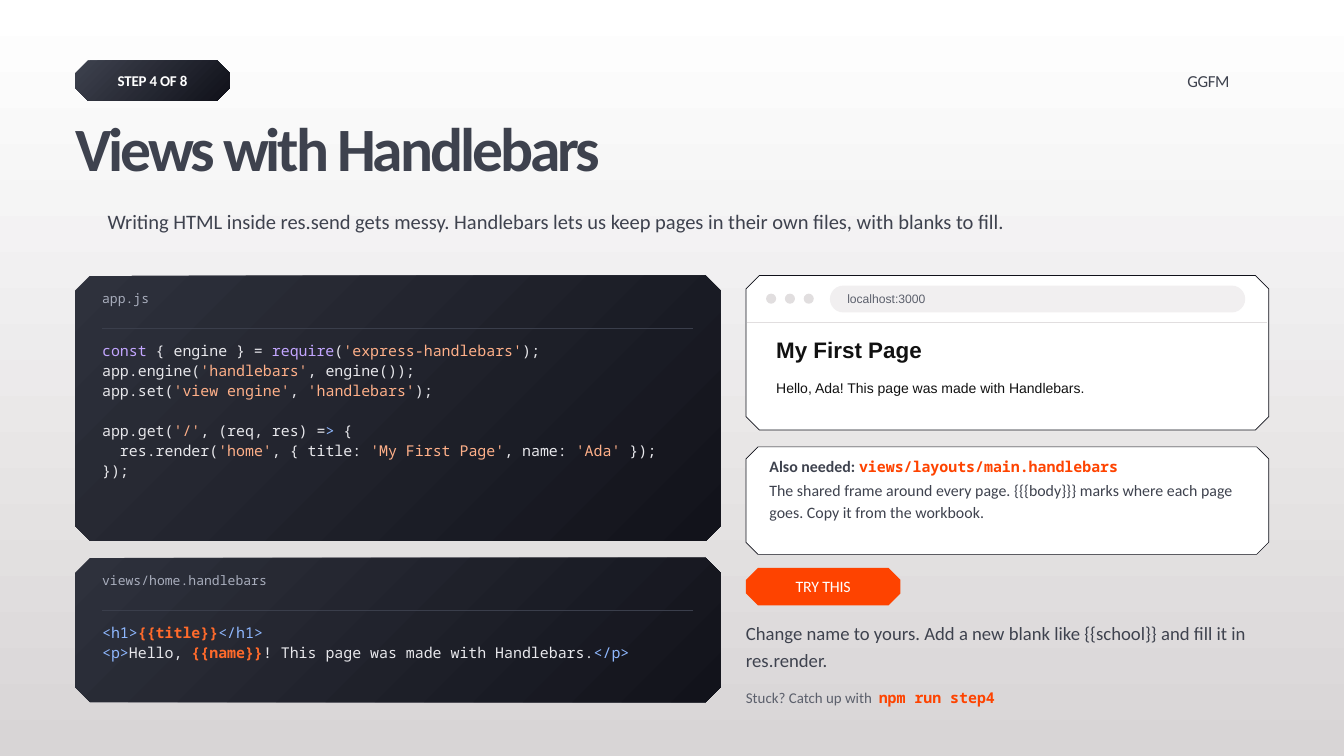
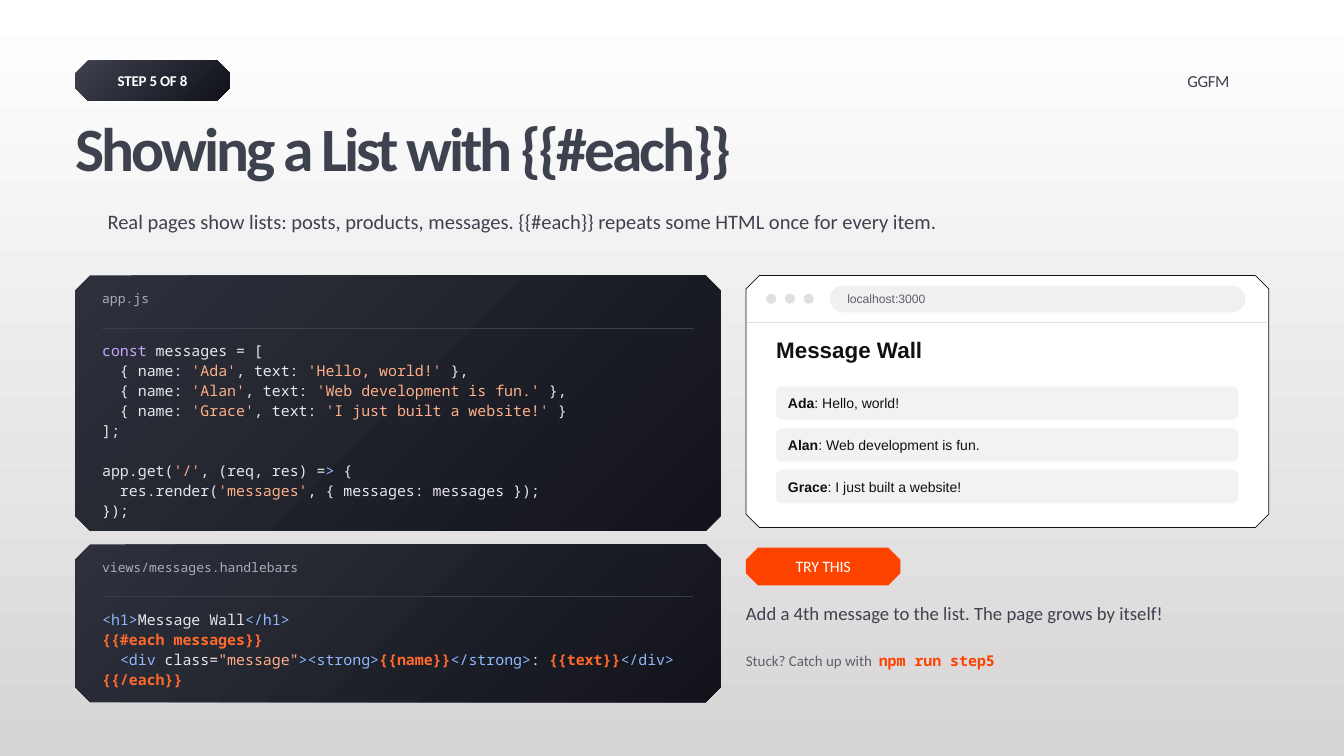
from functools import partial

from lxml.etree import SubElement
from pptx import Presentation
from pptx.dml.color import RGBColor
from pptx.enum.shapes import MSO_CONNECTOR as Link, MSO_SHAPE as Preset
from pptx.enum.text import MSO_ANCHOR as Anchor, MSO_AUTO_SIZE as AutoSize, PP_ALIGN as Align
from pptx.oxml.ns import qn
from pptx.util import Inches, Pt

COLORS = {
    "ink": ("3E424E", "10111A"), "panel": ("2E313C", "12131B"), "page": ("FFFFFF", "D8D5D6"),
    "white": "FFFFFF", "outline": "10111A", "accent": "FE4300", "muted": "5C606C",
    "file": "A9AEBD", "panel_rule": "3A3E4B", "chrome": "E1DEDF", "address": "F1EFF0",
    "web": "111111", "item": "F2F2F2",
    "plain": "E8E8EC", "keyword": "C3A6FF", "string": "FFB089", "tag": "8FB8FF", "blank": "FF6A2B",
}
SANS, MONO, WEB = "Calibri", "Noto Sans Mono", "Arial"
LEFT, LEFT_WIDTH = 1.12, 9.6
RIGHT, RIGHT_WIDTH = 11.1, 7.78
CONTENT_TOP = 4.1
CODE_SIZE, CODE_LEADING, CODE_LINE = 16, 1.12, 21.4


def run(text, size=16, font=SANS, color="ink", bold=False, spacing=0):
    """Describe a stretch of text and its format."""
    return dict(text=text, size=size, font=font, color=color, bold=bold, spacing=spacing)


def para(*runs, leading=None, before=0, align=Align.LEFT):
    """Describe a paragraph made of runs."""
    return dict(runs=runs, leading=leading, before=before, align=align)


code = partial(run, size=CODE_SIZE, font=MONO)
plain = partial(code, color="plain")
keyword = partial(code, color="keyword")
string = partial(code, color="string")
tag = partial(code, color="tag")
blank = partial(code, color="blank", bold=True)
web = partial(run, size=15, font=WEB, color="web")


def paint(fill, color, angle=315):
    """Fill with a named colour, or with a gradient when the name has two stops."""
    value = COLORS[color]
    if isinstance(value, str):
        fill.solid()
        fill.fore_color.rgb = RGBColor.from_string(value)
        return
    fill.gradient()
    fill.gradient_angle = angle
    for stop, shade in zip(fill.gradient_stops, value):
        stop.color.rgb = RGBColor.from_string(shade)


class Deck:
    """Hold the style and the current slide on a grid of 20 columns with square cells."""

    def __init__(self):
        """Set up the page size and the shared background."""
        self.prs = Presentation()
        self.prs.slide_width, self.prs.slide_height = Inches(20), Inches(11.25)
        self.cell = self.prs.slide_width / 20
        paint(self.prs.slide_master.background.fill, "page", angle=270)
        self.slide = None

    def grid(self, *lengths):
        """Turn grid lengths into slide units."""
        return [round(length * self.cell) for length in lengths]

    def set_text(self, shape, paragraphs, insets=(0, 0), anchor=Anchor.TOP):
        """Fill a shape with formatted paragraphs."""
        frame = shape.text_frame
        frame.word_wrap, frame.auto_size = True, AutoSize.NONE
        frame.vertical_anchor = anchor
        frame.margin_left, frame.margin_right = self.grid(*insets)
        frame.margin_top = frame.margin_bottom = 0
        for index, content in enumerate(paragraphs):
            paragraph = frame.paragraphs[0] if index == 0 else frame.add_paragraph()
            paragraph.alignment = content["align"]
            if content["leading"]:
                paragraph.line_spacing = content["leading"]
            if content["before"]:
                paragraph.space_before = Pt(content["before"])
            for part in content["runs"]:
                piece = paragraph.add_run()
                piece.text = part["text"]
                piece.font.size, piece.font.name = Pt(part["size"]), part["font"]
                piece.font.bold = part["bold"]
                paint(piece.font.fill, part["color"])
                if part["spacing"]:
                    piece.font._element.set("spc", str(round(part["spacing"] * 100)))

    def text(self, left, top, width, height, *paragraphs):
        """Add a text box."""
        box = self.slide.shapes.add_textbox(*self.grid(left, top, width, height))
        self.set_text(box, paragraphs)

    def finish(self, shape, fill, outline=None):
        """Give a shape its fill and outline without a shadow."""
        shape.shadow.inherit = False
        paint(shape.fill, fill)
        if outline:
            paint(shape.line.fill, outline)
            shape.line.width = Pt(0.75)
        else:
            shape.line.fill.background()
        return shape

    def preset(self, kind, left, top, width, height, fill, rounding=None):
        """Add a preset shape."""
        shape = self.slide.shapes.add_shape(kind, *self.grid(left, top, width, height))
        if rounding:
            shape.adjustments[0] = rounding
        return self.finish(shape, fill)

    def cut_box(self, left, top, width, height, cut, fill, outline=None):
        """Add a box with its four corners cut off."""
        right, bottom = left + width, top + height
        corners = [(right - cut, top), (right, top + cut), (right, bottom - cut),
                   (right - cut, bottom), (left + cut, bottom), (left, bottom - cut),
                   (left, top + cut), (left + cut, top)]
        points = [self.grid(*corner) for corner in corners]
        builder = self.slide.shapes.build_freeform(*points[0])
        builder.add_line_segments(points[1:], close=True)
        return self.finish(builder.convert_to_shape(), fill, outline)

    def badge(self, top, height, cut, fill, label, left=LEFT):
        """Add a cut-corner badge with a centred label."""
        shape = self.cut_box(left, top, 2.3, height, cut, fill)
        self.set_text(shape, [para(label, align=Align.CENTER)], (0.1, 0.1), Anchor.MIDDLE)

    def rule(self, left, right, top, color):
        """Add a thin horizontal line."""
        line = self.slide.shapes.add_connector(Link.STRAIGHT, *self.grid(left, top, right, top))
        paint(line.line.fill, color)
        line.line.width = Pt(0.86)
        SubElement(line._element.spPr, qn("a:effectLst"))

    def step(self, number, title, lead):
        """Start a slide with its step badge, title and lead sentence."""
        layout = self.prs.slide_layouts[5]
        self.slide = self.prs.slides.add_slide(layout)
        self.badge(0.9, 0.6, 0.19, "ink",
                   run(f"STEP {number} OF 8", color="white", bold=True, spacing=-0.2))
        self.text(17.67, 1.06, 1.6, 0.4, para(run("GGFM", size=18, spacing=-0.4)))
        heading = self.slide.shapes.title
        heading.left, heading.top, heading.width, heading.height = self.grid(LEFT, 1.75, 17.5, 1.1)
        self.set_text(heading, [para(run(title, size=66, bold=True, spacing=-3.3), leading=0.92)])
        self.text(1.6, 3.05, 17.22, 0.9, para(run(lead, size=22), leading=1.18))

    def code_panel(self, top, height, file_name, lines):
        """Add a dark panel with a file name and code; an empty line becomes a gap."""
        left, width = LEFT + 0.4, LEFT_WIDTH - 0.8
        self.cut_box(LEFT, top, LEFT_WIDTH, height, 0.22, "panel")
        self.text(left, top + 0.22, width, 0.45,
                  para(run(file_name, size=14, font=MONO, color="file")))
        self.rule(left, left + width, top + 0.78, "panel_rule")
        paragraphs = [para(*line, leading=CODE_LEADING,
                           before=CODE_LINE if index and not lines[index - 1] else 0)
                      for index, line in enumerate(lines) if line]
        self.text(left, top + 0.95, width, height - 1.1, *paragraphs)

    def browser(self, height, heading):
        """Add a browser window with an address bar and a page heading."""
        top = CONTENT_TOP
        self.cut_box(RIGHT, top, RIGHT_WIDTH, height, 0.2, "white", "outline")
        for dot in range(3):
            self.preset(Preset.OVAL, RIGHT + 0.3 + dot * 0.28, top + 0.27, 0.15, 0.15, "chrome")
        address = self.preset(Preset.ROUNDED_RECTANGLE, RIGHT + 1.25, top + 0.15, 6.18, 0.4,
                              "address", 0.5)
        self.set_text(address, [para(web("localhost:3000", size=13, color="muted"))],
                      (0.2, 0.1), Anchor.MIDDLE)
        self.rule(RIGHT + 0.02, RIGHT + RIGHT_WIDTH - 0.02, top + 0.7, "chrome")
        self.text(RIGHT + 0.45, top + 0.9, 6.88, 0.6, para(web(heading, size=24, bold=True)))

    def wall(self, messages):
        """Add the message rows of the browser page."""
        for index, (name, message) in enumerate(messages):
            row = self.preset(Preset.ROUNDED_RECTANGLE, RIGHT + 0.45, 5.75 + index * 0.62,
                              6.88, 0.5, "item", 0.18)
            self.set_text(row, [para(web(name, bold=True), web(f": {message}"))],
                          (0.15, 0.1), Anchor.MIDDLE)

    def note(self, top, height, *paragraphs):
        """Add a white note box."""
        self.cut_box(RIGHT, top, RIGHT_WIDTH, height, 0.18, "white", "outline")
        self.text(RIGHT + 0.35, top + 0.15, 7.2, height - 0.2, *paragraphs)

    def exercise(self, top, height, task, command):
        """Add the badge, the task and the catch-up command."""
        self.badge(top, 0.56, 0.18, "accent",
                   run("TRY THIS", size=17, color="white", spacing=-0.2), left=RIGHT)
        self.text(RIGHT, top + 0.75, RIGHT_WIDTH, height, para(run(task, size=20), leading=1.18))
        self.text(RIGHT, top + height + 0.8, RIGHT_WIDTH, 0.4,
                  para(run("Stuck? Catch up with", color="muted"), run(" ", spacing=3.6),
                       code(command, color="accent", bold=True)))


def views_slide(deck):
    """Build the step on views."""
    deck.step(4, "Views with Handlebars",
              "Writing HTML inside res.send gets messy. Handlebars lets us keep pages "
              "in their own files, with blanks to fill.")
    deck.code_panel(CONTENT_TOP, 3.95, "app.js", [
        [keyword("const"), plain(" { engine } = "), keyword("require"), plain("("),
         string("'express-handlebars'"), plain(");")],
        [plain("app.engine("), string("'handlebars'"), plain(", engine());")],
        [plain("app.set("), string("'view engine'"), plain(", "), string("'handlebars'"),
         plain(");")],
        [],
        [plain("app.get("), string("'/'"), plain(", (req, res) ="), tag(">"), plain(" {")],
        [plain("  res.render("), string("'home'"), plain(", { title: "),
         string("'My First Page'"), plain(", name: "), string("'Ada'"), plain(" });")],
        [plain("});")],
    ])
    deck.code_panel(8.3, 2.15, "views/home.handlebars", [
        [tag("<h1>"), blank("{{title}}"), tag("</h1>")],
        [tag("<p>"), plain("Hello, "), blank("{{name}}"),
         plain("! This page was made with Handlebars."), tag("</p>")],
    ])
    deck.browser(2.3, "My First Page")
    deck.text(RIGHT + 0.45, 5.65, 6.88, 0.7,
              para(web("Hello, Ada! This page was made with Handlebars.")))
    deck.note(6.65, 1.6,
              para(run("Also needed: ", size=17, bold=True),
                   code("views/layouts/main.handlebars", color="accent", bold=True)),
              para(run("The shared frame around every page. {{{body}}} marks where each page "
                       "goes. Copy it from the workbook.", size=17), leading=1.12, before=3))
    deck.exercise(8.45, 1, "Change name to yours. Add a new blank like {{school}} "
                  "and fill it in res.render.", "npm run step4")


def list_slide(deck):
    """Build the step on lists."""
    messages = [("Ada", "Hello, world!"), ("Alan", "Web development is fun."),
                ("Grace", "I just built a website!")]
    entries = [[plain("  { name: "), string(f"'{name}'"), plain(", text: "),
                string(f"'{message}'"), plain(" }" if name == messages[-1][0] else " },")]
               for name, message in messages]
    deck.step(5, "Showing a List with {{#each}}",
              "Real pages show lists: posts, products, messages. {{#each}} repeats some HTML "
              "once for every item.")
    deck.code_panel(CONTENT_TOP, 3.8, "app.js", [
        [keyword("const"), plain(" messages = [")],
        *entries,
        [plain("];")],
        [],
        [plain("app.get("), string("'/'"), plain(", (req, res) ="), tag(">"), plain(" {")],
        [plain("  res.render("), string("'messages'"), plain(", { messages: messages });")],
        [plain("});")],
    ])
    deck.code_panel(8.1, 2.35, "views/messages.handlebars", [
        [tag("<h1>"), plain("Message Wall"), tag("</h1>")],
        [blank("{{#each messages}}")],
        [plain("  "), tag("<div"), plain(" class="), string('"message"'), tag("><strong>"),
         blank("{{name}}"), tag("</strong>"), plain(": "), blank("{{text}}"), tag("</div>")],
        [blank("{{/each}}")],
    ])
    deck.browser(3.75, "Message Wall")
    deck.wall(messages)
    deck.exercise(8.15, 0.75, "Add a 4th message to the list. The page grows by itself!",
                  "npm run step5")


def main():
    """Build both slides and save them."""
    deck = Deck()
    views_slide(deck)
    list_slide(deck)
    deck.prs.save("out.pptx")


if __name__ == "__main__":
    main()
